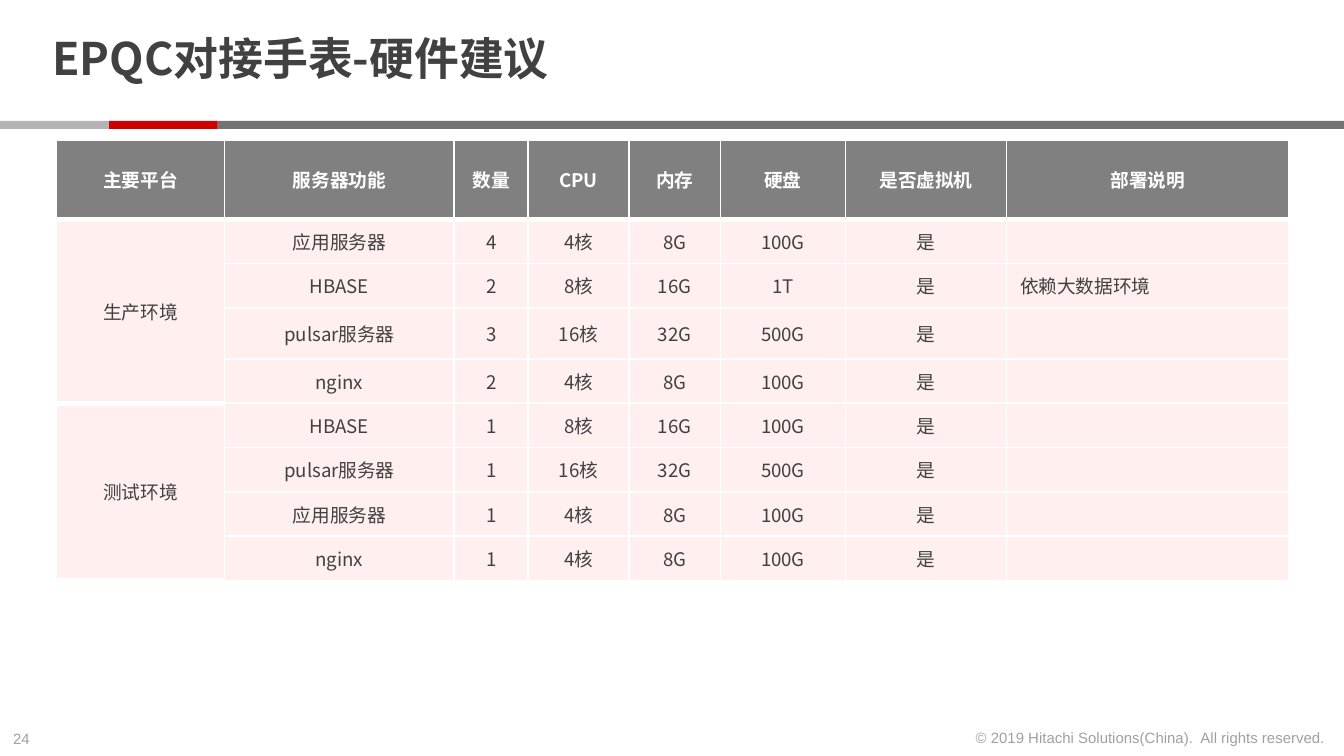
from lxml import etree
from pptx import Presentation
from pptx.dml.color import RGBColor
from pptx.enum import shapes, text
from pptx.oxml import ns
from pptx.util import Inches, Pt

DARK = RGBColor(0x41, 0x41, 0x41)
FAINT = RGBColor(0xA0, 0xA0, 0xA0)
WHITE = RGBColor(0xFF, 0xFF, 0xFF)
HEAD = RGBColor(0x80, 0x80, 0x80)
PINK = RGBColor(0xFF, 0xEF, 0xEF)
RED = RGBColor(0xCC, 0x00, 0x00)
GREY = RGBColor(0x73, 0x73, 0x73)
LIGHT = RGBColor(0xB3, 0xB3, 0xB3)
SANS = "Noto Sans CJK SC"
LEFT, MID, RIGHT = text.PP_ALIGN.LEFT, text.PP_ALIGN.CENTER, text.PP_ALIGN.RIGHT

COLS = [1.25, 1.71, 0.55, 0.75, 0.68, 0.93, 1.2, 2.1]
TALL = [0.59, 0.33, 0.33, 0.38] + [0.33] * 5
ROWS = [
    ["主要平台", "服务器功能", "数量", "CPU", "内存", "硬盘", "是否虚拟机", "部署说明"],
    ["生产环境", "应用服务器", "4", "4核", "8G", "100G", "是", ""],
    ["", "HBASE", "2", "8核", "16G", "1T", "是", "依赖大数据环境"],
    ["", "pulsar服务器", "3", "16核", "32G", "500G", "是", ""],
    ["", "nginx", "2", "4核", "8G", "100G", "是", ""],
    ["测试环境", "HBASE", "1", "8核", "16G", "100G", "是", ""],
    ["", "pulsar服务器", "1", "16核", "32G", "500G", "是", ""],
    ["", "应用服务器", "1", "4核", "8G", "100G", "是", ""],
    ["", "nginx", "1", "4核", "8G", "100G", "是", ""],
]
GROUPS = [1, 5]
SPAN = 4


class Deck:
    """Holds the slide and the style of its elements."""

    def __init__(self):
        self.prs = Presentation()
        self.prs.slide_width = Inches(10)
        self.prs.slide_height = Inches(10 * 9 / 16)
        self.slide = self.prs.slides.add_slide(self.prs.slide_layouts[5])

    def style(self, para, size, color, bold=False, face=SANS, align=LEFT):
        para.alignment = align
        font = para.font
        font.size, font.bold, font.name = Pt(size), bold, face
        font.color.rgb = color
        props = para._p.get_or_add_pPr().find(ns.qn("a:defRPr"))
        etree.SubElement(props, ns.qn("a:ea")).set("typeface", face)

    def title(self, words, box):
        shape = self.slide.shapes.title
        shape.left, shape.top, shape.width, shape.height = map(Inches, box)
        frame = shape.text_frame
        frame.text = words
        frame.vertical_anchor = text.MSO_ANCHOR.MIDDLE
        frame.margin_top = frame.margin_bottom = 0
        frame.paragraphs[0].line_spacing = 0.85
        self.style(frame.paragraphs[0], 24, DARK, True)

    def bar(self, left, width, color):
        shape = self.slide.shapes.add_shape(
            shapes.MSO_SHAPE.RECTANGLE, Inches(left), Inches(0.9), Inches(width), Inches(0.06))
        shape.shadow.inherit = False
        shape.fill.solid()
        shape.fill.fore_color.rgb = color
        shape.line.fill.background()

    def note(self, words, box, align):
        frame = self.slide.shapes.add_textbox(*map(Inches, box)).text_frame
        frame.word_wrap = False
        frame.text = words
        self.style(frame.paragraphs[0], 8, FAINT, face="Arial", align=align)

    def edge(self, cell, side, width):
        line = etree.SubElement(cell._tc.get_or_add_tcPr(), ns.qn("a:" + side), w=str(Pt(width)))
        fill = etree.SubElement(line, ns.qn("a:solidFill"))
        etree.SubElement(fill, ns.qn("a:srgbClr"), val=str(WHITE))

    def cell(self, cell, words, row, col):
        head = row == 0
        above = row == 1 or (col == 0 and row in GROUPS)
        below = head or col == 0
        for side, thick in (("lnL", False), ("lnR", False), ("lnT", above), ("lnB", below)):
            self.edge(cell, side, 3 if thick else 1)
        cell.fill.solid()
        cell.fill.fore_color.rgb = HEAD if head else PINK
        cell.vertical_anchor = text.MSO_ANCHOR.MIDDLE
        cell.margin_top = cell.margin_bottom = Inches(0.03)
        if words:
            cell.text = words
        last = col == len(COLS) - 1
        self.style(cell.text_frame.paragraphs[0], 10, WHITE if head else DARK, head,
                   align=LEFT if last and not head else MID)

    def table(self, left, top):
        grid = self.slide.shapes.add_table(
            len(ROWS), len(COLS), Inches(left), Inches(top),
            Inches(sum(COLS)), Inches(sum(TALL))).table
        grid.horz_banding = False
        for col, width in zip(grid.columns, COLS):
            col.width = Inches(width)
        for row, height in zip(grid.rows, TALL):
            row.height = Inches(height)
        for r, row in enumerate(ROWS):
            for c, words in enumerate(row):
                self.cell(grid.cell(r, c), words, r, c)
        for r in GROUPS:
            grid.cell(r, 0).merge(grid.cell(r + SPAN - 1, 0))


def main():
    deck = Deck()
    deck.note("24", (0, 5.38, 0.34, 0.24), LEFT)
    for left, width, color in ((1.62, 8.38, GREY), (0.81, 0.81, RED), (0, 0.81, LIGHT)):
        deck.bar(left, width, color)
    deck.note("© 2019 Hitachi Solutions(China).\u00a0 All rights reserved.".replace("\u00a0", chr(160)),
              (7.12, 5.37, 2.84, 0.24), RIGHT)
    deck.title("EPQC对接手表-硬件建议", (0.29, 0.06, 7.71, 0.8))
    deck.table(0.42, 1.04)
    deck.prs.save("out.pptx")


if __name__ == "__main__":
    main()
